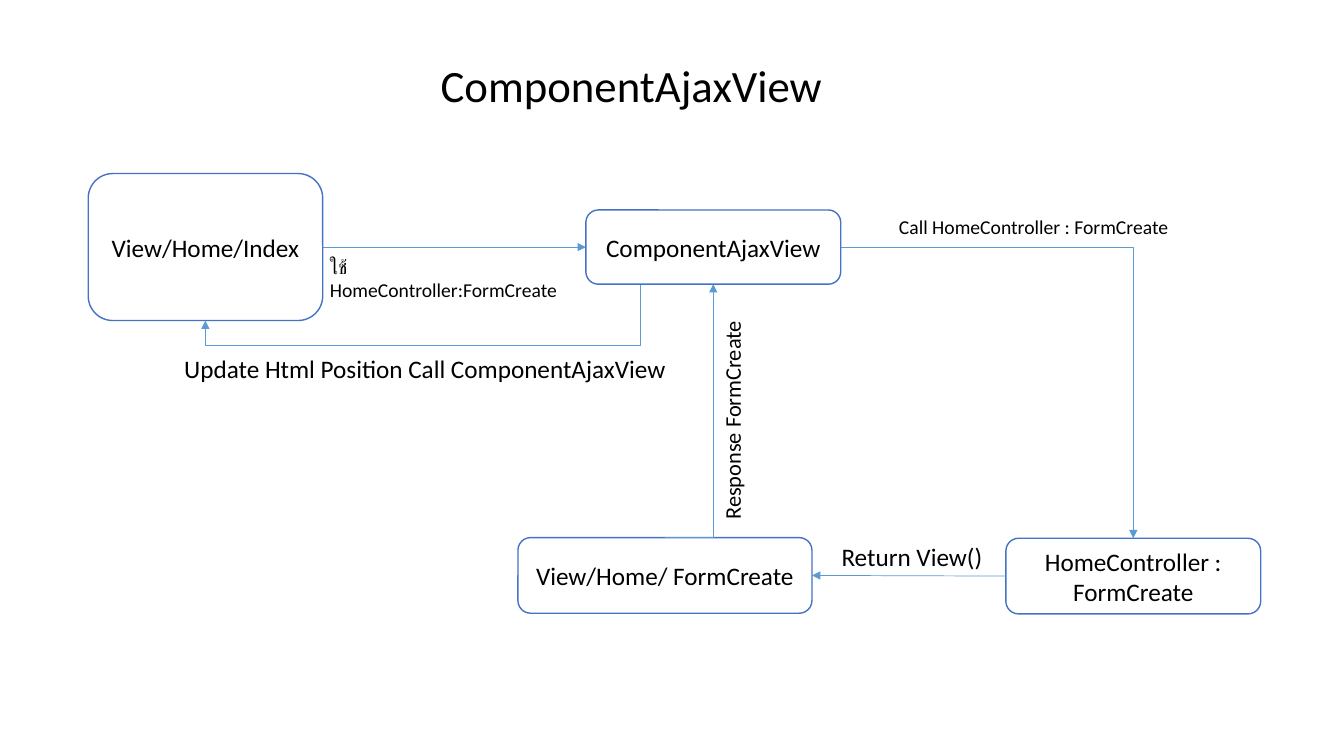
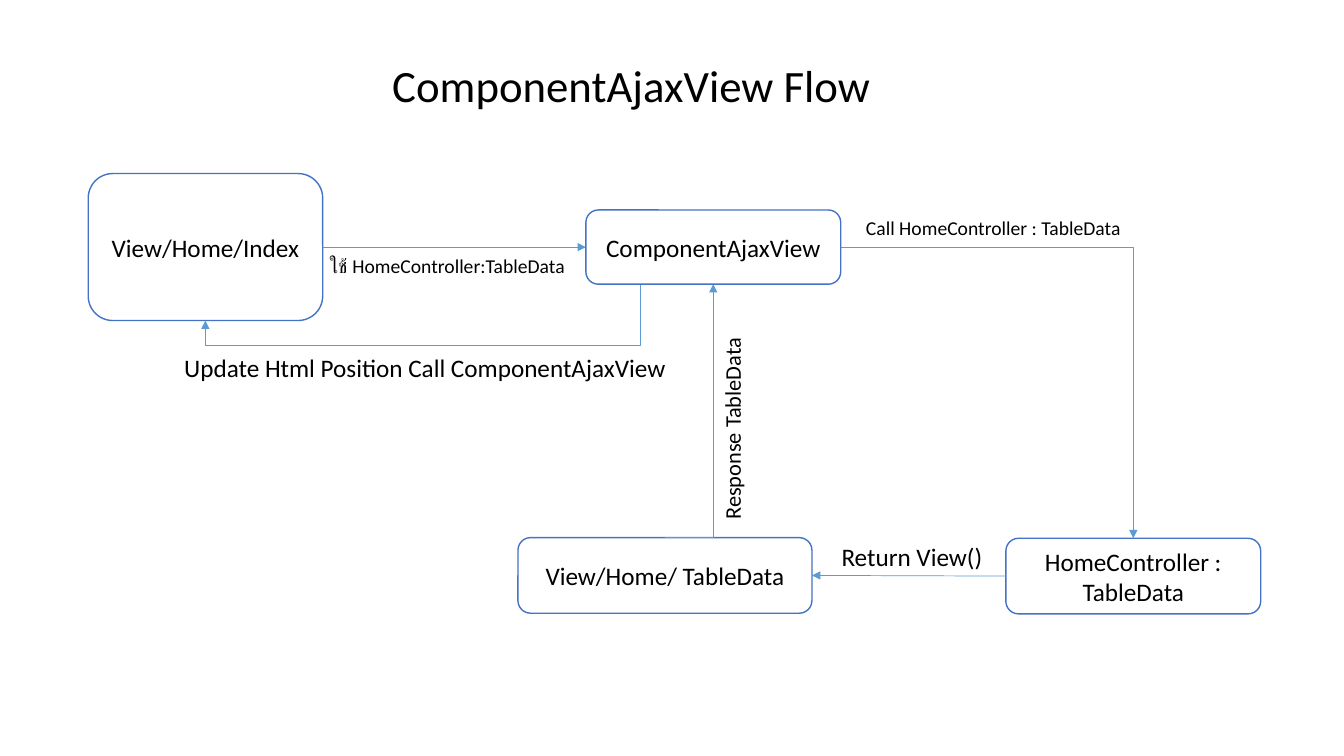
from dataclasses import dataclass

from lxml.etree import SubElement
from pptx import Presentation
from pptx.dml.color import RGBColor
from pptx.enum.shapes import MSO_CONNECTOR, MSO_SHAPE
from pptx.enum.text import MSO_ANCHOR, MSO_AUTO_SIZE, PP_ALIGN
from pptx.oxml.ns import qn
from pptx.util import Pt


@dataclass(frozen=True)
class Theme:
    font: str = "Calibri"
    text: RGBColor = RGBColor(0, 0, 0)
    fill: RGBColor = RGBColor(0xFF, 0xFF, 0xFF)
    outline: RGBColor = RGBColor(0x44, 0x72, 0xC4)
    arrow: RGBColor = RGBColor(0x5B, 0x9B, 0xD5)
    outline_width: float = 1
    arrow_width: float = 0.5
    title: int = 32
    body: int = 18
    response: int = 16
    call: int = 14


@dataclass(frozen=True)
class Frame:
    left: float
    top: float
    width: float
    height: float

    @property
    def right(self):
        return self.left + self.width

    @property
    def bottom(self):
        return self.top + self.height

    @property
    def center(self):
        return self.left + self.width / 2

    @property
    def middle(self):
        return self.top + self.height / 2

    def lengths(self):
        return Pt(self.left), Pt(self.top), Pt(self.width), Pt(self.height)


THEME = Theme()
TITLE = Frame(219, 38, 464, 46)
INDEX = Frame(63, 124, 167.5, 105)
COMPONENT = Frame(418.5, 150, 182, 53)
VIEW = Frame(370, 384, 210, 54)
CONTROLLER = Frame(718.5, 384.5, 182, 54)
UPDATE_BEND = (457.5, 247)
RESPONSE_START = 475

FLOWS = [
    {
        "title": "ComponentAjaxView",
        "action": "FormCreate",
        "use": Frame(228.5, 178.5, 190, 24),
        "call": Frame(635, 150, 215, 24),
        "update": Frame(124.5, 249, 397, 29),
    },
    {
        "title": "ComponentAjaxView Flow",
        "action": "TableData",
        "use": Frame(228.5, 178, 190, 24),
        "call": Frame(611.5, 150.5, 199, 24),
        "update": Frame(124.5, 248, 375, 29),
    },
]


def write(shape, text, size, align):
    shape.text_frame.word_wrap = True
    para = shape.text_frame.paragraphs[0]
    para.alignment = align
    span = para.add_run()
    span.text = text
    span.font.name = THEME.font
    span.font.size = Pt(size)
    span.font.color.rgb = THEME.text


def add_label(page, frame, text, size, align=PP_ALIGN.LEFT, rotation=0):
    label = page.shapes.add_textbox(*frame.lengths())
    label.rotation = rotation
    write(label, text, size, align)
    label.text_frame.auto_size = MSO_AUTO_SIZE.SHAPE_TO_FIT_TEXT


def add_box(page, frame, text):
    box = page.shapes.add_shape(MSO_SHAPE.ROUNDED_RECTANGLE, *frame.lengths())
    box.shadow.inherit = False
    box.fill.solid()
    box.fill.fore_color.rgb = THEME.fill
    box.line.color.rgb = THEME.outline
    box.line.width = Pt(THEME.outline_width)
    box.text_frame.vertical_anchor = MSO_ANCHOR.MIDDLE
    write(box, text, THEME.body, PP_ALIGN.CENTER)


def add_arrow(page, start, end, preset=None, bend=None):
    kind = MSO_CONNECTOR.ELBOW if preset else MSO_CONNECTOR.STRAIGHT
    arrow = page.shapes.add_connector(kind, *map(Pt, start + end))
    arrow.line.color.rgb = THEME.arrow
    arrow.line.width = Pt(THEME.arrow_width)
    properties = arrow._element.spPr
    SubElement(properties.find(qn("a:ln")), qn("a:tailEnd"), type="triangle")
    SubElement(properties, qn("a:effectLst"))
    if preset:
        geometry = properties.find(qn("a:prstGeom"))
        geometry.set("prst", preset)
    if bend:
        guides = geometry.find(qn("a:avLst"))
        for number, (first, last, stop) in enumerate(zip(start, end, bend), 1):
            ratio = round((stop - first) / (last - first) * 100000)
            SubElement(guides, qn("a:gd"), name=f"adj{number}", fmla=f"val {ratio}")


def add_flow(deck, flow):
    page = deck.slides.add_slide(deck.slide_layouts[6])
    action = flow["action"]
    add_label(page, TITLE, flow["title"], THEME.title, PP_ALIGN.CENTER)
    add_box(page, CONTROLLER, f"HomeController : {action}")
    add_box(page, VIEW, f"View/Home/ {action}")
    add_box(page, INDEX, "View/Home/Index")

    add_arrow(page, (INDEX.right, INDEX.middle), (COMPONENT.left, COMPONENT.middle))
    add_arrow(page, (CONTROLLER.left, CONTROLLER.middle), (VIEW.right, VIEW.middle))
    add_arrow(page, (COMPONENT.left, COMPONENT.middle), (INDEX.center, INDEX.bottom),
              "bentConnector4", UPDATE_BEND)
    add_arrow(page, (COMPONENT.right, COMPONENT.middle), (CONTROLLER.center, CONTROLLER.top),
              "bentConnector2")
    add_arrow(page, (RESPONSE_START, VIEW.top), (COMPONENT.center, COMPONENT.bottom),
              "bentConnector2")

    add_label(page, flow["use"], f"ใช้ HomeController:{action}", THEME.call)
    add_label(page, flow["call"], f"Call HomeController : {action}", THEME.call)
    add_label(page, Frame(594, 383, 120, 29), "Return View()", THEME.body)
    add_label(page, Frame(438, 280, 170, 26.5), f"Response {action}", THEME.response, rotation=270)
    add_box(page, COMPONENT, "ComponentAjaxView")
    add_label(page, flow["update"], "Update Html Position Call ComponentAjaxView", THEME.body)


def main():
    deck = Presentation()
    deck.slide_width, deck.slide_height = Pt(960), Pt(540)
    for flow in FLOWS:
        add_flow(deck, flow)
    deck.save("out.pptx")


if __name__ == "__main__":
    main()
